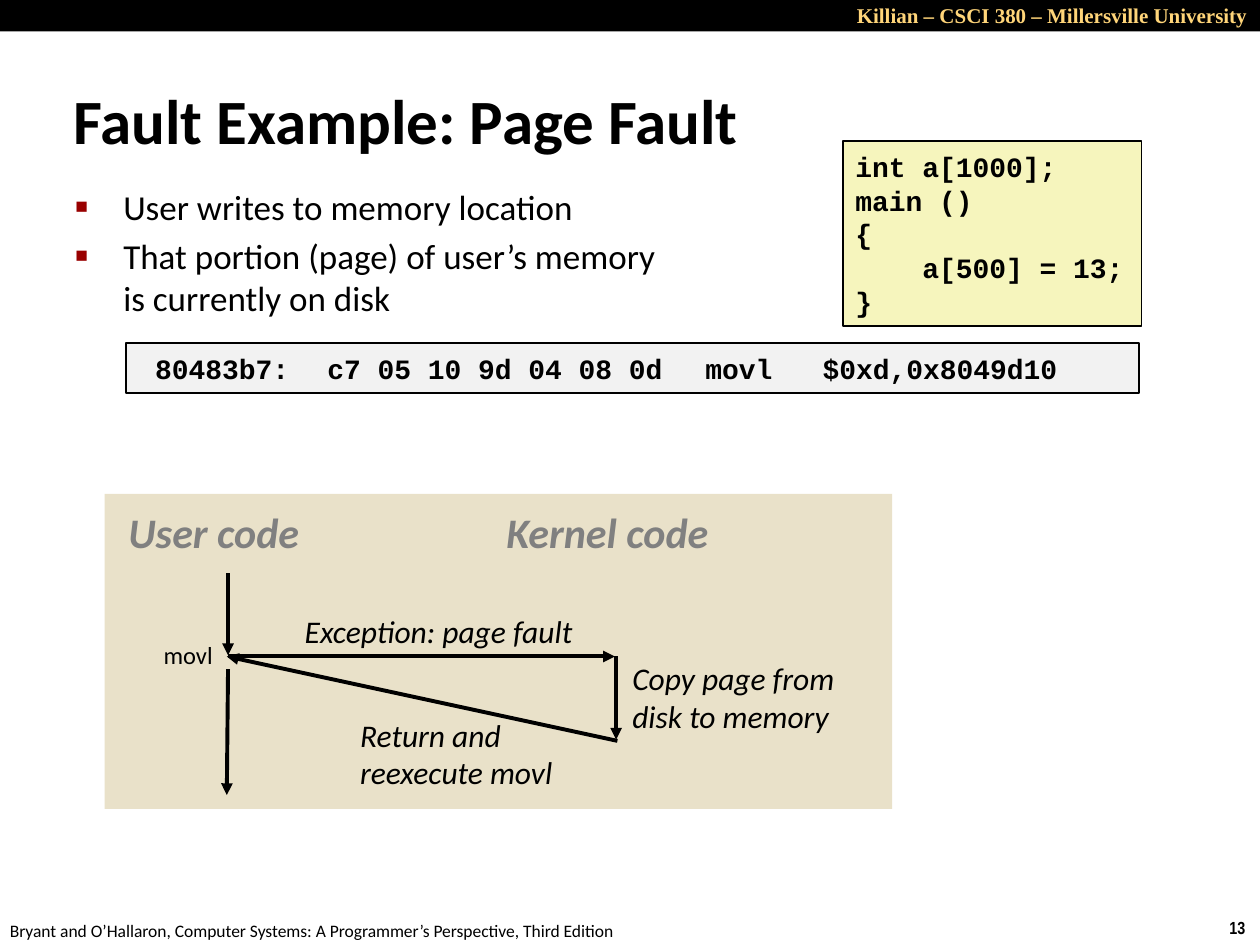
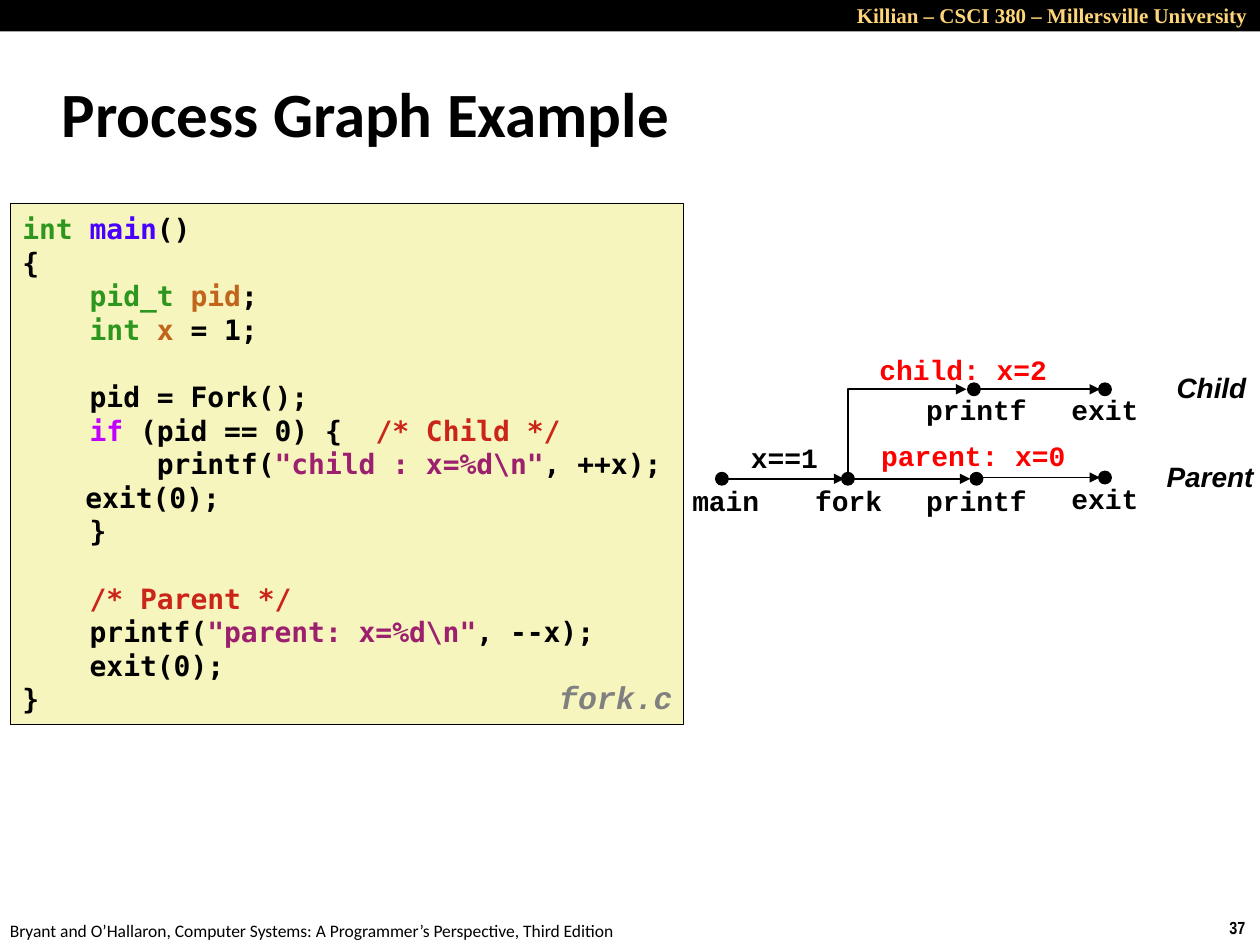
from dataclasses import dataclass, field
from typing import Any, Optional

from lxml.etree import SubElement
from pptx import Presentation
from pptx.dml.color import RGBColor
from pptx.enum.shapes import MSO_CONNECTOR as Connector, MSO_SHAPE as Preset
from pptx.enum.text import MSO_ANCHOR as Anchor, MSO_AUTO_SIZE as AutoSize, PP_ALIGN as Align
from pptx.oxml.ns import qn
from pptx.util import Inches, Pt

BLACK = RGBColor(0x00, 0x00, 0x00)
GOLD = RGBColor(0xFF, 0xD5, 0x79)
GRAY = RGBColor(0x80, 0x80, 0x80)
RED = RGBColor(0xFF, 0x00, 0x00)
SAND = RGBColor(0xE9, 0xE1, 0xC9)
CODE_YELLOW = RGBColor(0xF6, 0xF5, 0xBD)
LIGHT_GRAY = RGBColor(0xF2, 0xF2, 0xF2)

# Syntax colours
TYPE = RGBColor(0x2D, 0x96, 0x1E)
FUNCTION = RGBColor(0x4A, 0x00, 0xFF)
VARIABLE = RGBColor(0xC1, 0x65, 0x1C)
KEYWORD = RGBColor(0xC2, 0x00, 0xFF)
COMMENT = RGBColor(0xCB, 0x24, 0x18)
STRING = RGBColor(0x9D, 0x20, 0x6F)

Box = tuple[float, float, float, float]
Point = tuple[float, float]
Line = list[tuple[str, RGBColor]]


@dataclass(frozen=True)
class Style:
    font: str
    size: float
    color: RGBColor = BLACK
    bold: bool = False
    italic: bool = False


@dataclass(frozen=True)
class Label:
    text: str
    box: Box
    style: Style
    wrap: bool = False
    paragraph: dict[str, Any] = field(default_factory=dict)


@dataclass(frozen=True)
class Arrow:
    start: Point
    end: Point


@dataclass(frozen=True)
class GraphNode:
    label: str
    center: Point
    label_box: Box


TITLE = Style("Calibri", 36, bold=True)
BODY = Style("Calibri", 20)
HEADING = Style("Calibri", 24, GRAY, bold=True, italic=True)
STEP = Style("Calibri", 18, italic=True)
CODE = Style("Courier New", 16, bold=True)
CODE_RED = Style("Courier New", 16, RED, bold=True)
SOURCE = Style("DejaVu Sans Mono", 16, bold=True)
FILE_NAME = Style("Courier New", 18, GRAY, bold=True, italic=True)
PROCESS = Style("Arial", 16, bold=True, italic=True)

CENTERED = {"alignment": Align.CENTER}
BLANK_LINE = Pt(19.2)


def set_values(target: Any, values: dict[str, Any]) -> None:
    for name, value in values.items():
        setattr(target, name, value)


def inches(values: tuple) -> list:
    return [Inches(value) for value in values]


def format_run(run: Any, style: Style, color: Optional[RGBColor] = None) -> None:
    set_values(run.font, {"name": style.font, "size": Pt(style.size),
                          "bold": style.bold, "italic": style.italic})
    run.font.color.rgb = color or style.color


def format_frame(shape: Any, wrap: bool, anchor: Any, fit: Any = AutoSize.SHAPE_TO_FIT_TEXT) -> Any:
    set_values(shape.text_frame, {"word_wrap": wrap, "auto_size": fit, "vertical_anchor": anchor})
    return shape.text_frame


def add_label(slide: Any, label: Label) -> None:
    shape = slide.shapes.add_textbox(*inches(label.box))
    frame = format_frame(shape, label.wrap, Anchor.TOP)
    paragraph = frame.paragraphs[0]
    set_values(paragraph, label.paragraph)
    run = paragraph.add_run()
    run.text = label.text
    format_run(run, label.style)


def add_preset(slide: Any, preset: Any, box: Box, fill: RGBColor, line_width: float = 0) -> Any:
    shape = slide.shapes.add_shape(preset, *inches(box))
    shape.shadow.inherit = False
    shape.fill.solid()
    shape.fill.fore_color.rgb = fill
    if line_width:
        shape.line.color.rgb = BLACK
        shape.line.width = Pt(line_width)
    else:
        shape.line.fill.background()
    return shape


def add_code_box(slide: Any, box: Box, fill: RGBColor, line_width: float,
                 lines: list[Line], style: Style) -> None:
    """An empty line in the code becomes space before the next one."""
    shape = add_preset(slide, Preset.RECTANGLE, box, fill, line_width)
    frame = format_frame(shape, False, Anchor.MIDDLE)
    paragraph, space_before = frame.paragraphs[0], Pt(0)
    for index, line in enumerate(lines):
        if not line:
            space_before = BLANK_LINE
            continue
        if index:
            paragraph = frame.add_paragraph()
        set_values(paragraph, {"alignment": Align.LEFT, "space_before": space_before})
        space_before = Pt(0)
        for text, color in line:
            run = paragraph.add_run()
            run.text = text
            format_run(run, style, color)


def add_arrow(slide: Any, arrow: Arrow, width: float, kind: Any = Connector.STRAIGHT) -> Any:
    connector = slide.shapes.add_connector(kind, *inches(arrow.start + arrow.end))
    connector.line.color.rgb = BLACK
    connector.line.width = Pt(width)
    properties = connector._element.spPr
    SubElement(properties.find(qn("a:ln")), qn("a:tailEnd"), type="triangle")
    SubElement(properties, qn("a:effectLst"))
    return connector


def add_corner_arrow(slide: Any, arrow: Arrow, width: float) -> None:
    """An arrow that goes up, then right; the points are those before its quarter turn."""
    properties = add_arrow(slide, arrow, width, Connector.ELBOW)._element.spPr
    properties.find(qn("a:xfrm")).set("rot", "5400000")
    properties.find(qn("a:prstGeom")).set("prst", "bentConnector2")


def set_indent(paragraph: Any, indent: float) -> Any:
    properties = paragraph._p.get_or_add_pPr()
    properties.set("marL", str(Inches(indent)))
    properties.set("indent", str(-Inches(indent)))
    return properties


def add_bullets(slide: Any, box: Box, items: list[str]) -> None:
    frame = format_frame(slide.shapes.add_textbox(*inches(box)), True, Anchor.TOP, AutoSize.NONE)
    for index, item in enumerate(items):
        paragraph = frame.add_paragraph() if index else frame.paragraphs[0]
        paragraph.text = item
        paragraph.space_before = Pt(4)
        properties = set_indent(paragraph, 0.38)
        color = SubElement(properties, qn("a:buClr"))
        SubElement(color, qn("a:srgbClr"), val="990000")
        SubElement(properties, qn("a:buSzPct"), val="60000")
        SubElement(properties, qn("a:buFont"), typeface="Arial")
        SubElement(properties, qn("a:buChar"), char="■")
        for run in paragraph.runs:
            format_run(run, BODY)


def start_slide(presentation: Any, title: str, title_box: Box, number: int) -> Any:
    """Add a slide with the shared band, footer and title style."""
    slide = presentation.slides.add_slide(presentation.slide_layouts[5])
    add_preset(slide, Preset.RECTANGLE, (0, 0, 10, 0.25), BLACK)
    for label in (
        Label("Killian – CSCI 380 – Millersville University", (5.83, -0.03, 4.17, 0.3),
              Style("Times New Roman", 12, GOLD, bold=True), True, {"alignment": Align.RIGHT}),
        Label(str(number), (9.66, 7.23, 0.34, 0.27), Style("Arial Narrow", 10, bold=True)),
        Label("Bryant and O’Hallaron, Computer Systems: A Programmer’s Perspective, Third Edition",
              (-0.02, 7.25, 5.08, 0.27), Style("Calibri", 10)),
    ):
        add_label(slide, label)
    shape = slide.shapes.title
    set_values(shape, dict(zip(("left", "top", "width", "height"), inches(title_box))))
    paragraph = format_frame(shape, True, Anchor.MIDDLE, AutoSize.NONE).paragraphs[0]
    paragraph.text = title
    paragraph.alignment = Align.LEFT
    set_indent(paragraph, 0.13)
    format_run(paragraph.runs[0], TITLE)
    return slide


def build_page_fault(presentation: Any) -> None:
    slide = start_slide(presentation, "Fault Example: Page Fault", (0.48, 0.64, 8.63, 0.61), 13)
    add_preset(slide, Preset.RECTANGLE, (0.83, 3.92, 6.25, 2.5), SAND)
    add_bullets(slide, (0.5, 1.42, 8.92, 1.17), [
        "User writes to memory location",
        "That portion (page) of user’s memory \vis currently on disk",
    ])

    # C source and its machine code
    source = ["int a[1000];", "main ()", "{", "    a[500] = 13;", "}"]
    add_code_box(slide, (6.69, 1.12, 2.37, 1.47), CODE_YELLOW, 1,
                 [[(line, BLACK)] for line in source], CODE)
    add_code_box(slide, (1, 2.72, 8.04, 0.4), LIGHT_GRAY, 1,
                 [[(" 80483b7:\tc7 05 10 9d 04 08 0d \tmovl   $0xd,0x8049d10", BLACK)]], CODE)

    # Control flow between user and kernel
    for arrow in (
        Arrow((1.81, 4.55), (1.81, 5.2)),
        Arrow((1.81, 5.21), (4.88, 5.21)),
        Arrow((4.89, 5.21), (4.89, 5.87)),
        Arrow((4.9, 5.88), (1.8, 5.21)),
        Arrow((1.81, 5.31), (1.8, 6.31)),
    ):
        add_arrow(slide, arrow, 2.25)
    for label in (
        Label("User code", (0.92, 3.97, 1.65, 0.5), HEADING),
        Label("Kernel code", (3.92, 3.97, 1.91, 0.5), HEADING),
        Label("Exception: page fault", (2.32, 4.81, 2.42, 0.4), STEP),
        Label("Copy page from disk to memory", (4.92, 5.18, 2.16, 0.7), STEP, True),
        Label("Return and reexecute movl", (2.76, 5.63, 1.99, 0.7), STEP, True),
        Label("movl", (1.2, 5.03, 0.6, 0.34), Style("Calibri", 14)),
    ):
        add_label(slide, label)


def build_process_graph(presentation: Any) -> None:
    slide = start_slide(presentation, "Process Graph Example", (0.39, 0.48, 8.3, 0.83), 37)
    add_code_box(slide, (0.08, 1.61, 5.34, 4.14), CODE_YELLOW, 0.25, [
        [("int ", TYPE), ("main", FUNCTION), ("()", BLACK)],
        [("{", BLACK)],
        [("    ", BLACK), ("pid_t ", TYPE), ("pid", VARIABLE), (";", BLACK)],
        [("    ", BLACK), ("int ", TYPE), ("x", VARIABLE), (" = 1;", BLACK)],
        [],
        [("    pid = Fork();", BLACK)],
        [("    ", BLACK), ("if", KEYWORD), (" (pid == 0) {  ", BLACK), ("/* Child */", COMMENT)],
        [("        printf(", BLACK), ('"child : x=%d\\n"', STRING), (", ++x);", BLACK)],
        [("\texit(0);", BLACK)],
        [("    }", BLACK)],
        [],
        [("    ", BLACK), ("/* Parent */", COMMENT)],
        [("    printf(", BLACK), ('"parent: x=%d\\n"', STRING), (", --x);", BLACK)],
        [("    exit(0);", BLACK)],
        [("}", BLACK)],
    ], SOURCE)

    # Process graph: nodes, then edges
    dot = 0.1
    for node in (
        GraphNode("main", (5.73, 3.8), (5.39, 3.79, 0.74, 0.37)),
        GraphNode("fork", (6.73, 3.8), (6.37, 3.79, 0.73, 0.37)),
        GraphNode("printf", (7.75, 3.8), (7.23, 3.79, 1.04, 0.37)),
        GraphNode("exit", (8.77, 3.79), (8.25, 3.77, 1.04, 0.37)),
        GraphNode("printf", (7.73, 3.09), (7.23, 3.07, 1.04, 0.37)),
        GraphNode("exit", (8.77, 3.09), (8.25, 3.07, 1.04, 0.37)),
    ):
        x, y = node.center
        add_preset(slide, Preset.OVAL, (x - dot / 2, y - dot / 2, dot, dot), BLACK, 0.75)
        add_label(slide, Label(node.label, node.label_box, CODE, True, CENTERED))
    for arrow in (
        Arrow((5.78, 3.8), (6.7, 3.8)),
        Arrow((6.78, 3.8), (7.7, 3.8)),
        Arrow((7.77, 3.79), (8.73, 3.79)),
        Arrow((7.77, 3.09), (8.73, 3.09)),
    ):
        add_arrow(slide, arrow, 1)
    add_corner_arrow(slide, Arrow((7.55, 3.91), (6.85, 2.97)), 1)

    # Edge values, process names and file name
    for label in (
        Label("x==1", (5.79, 3.45, 0.87, 0.37), CODE, True, CENTERED),
        Label("child: x=2", (6.64, 2.75, 2.01, 0.37), CODE_RED, True, CENTERED),
        Label("parent: x=0", (6.72, 3.43, 2.01, 0.37), CODE_RED, True, CENTERED),
        Label("Parent", (9.16, 3.6, 0.92, 0.37), PROCESS),
        Label("Child", (9.24, 2.89, 0.77, 0.37), PROCESS),
        Label("fork.c", (4.34, 5.36, 1.17, 0.39), FILE_NAME, False, {"line_spacing": 0.94}),
    ):
        add_label(slide, label)


def main() -> None:
    presentation = Presentation()
    set_values(presentation, {"slide_width": Inches(10), "slide_height": Inches(7.5)})
    build_page_fault(presentation)
    build_process_graph(presentation)
    presentation.save("out.pptx")


if __name__ == "__main__":
    main()
